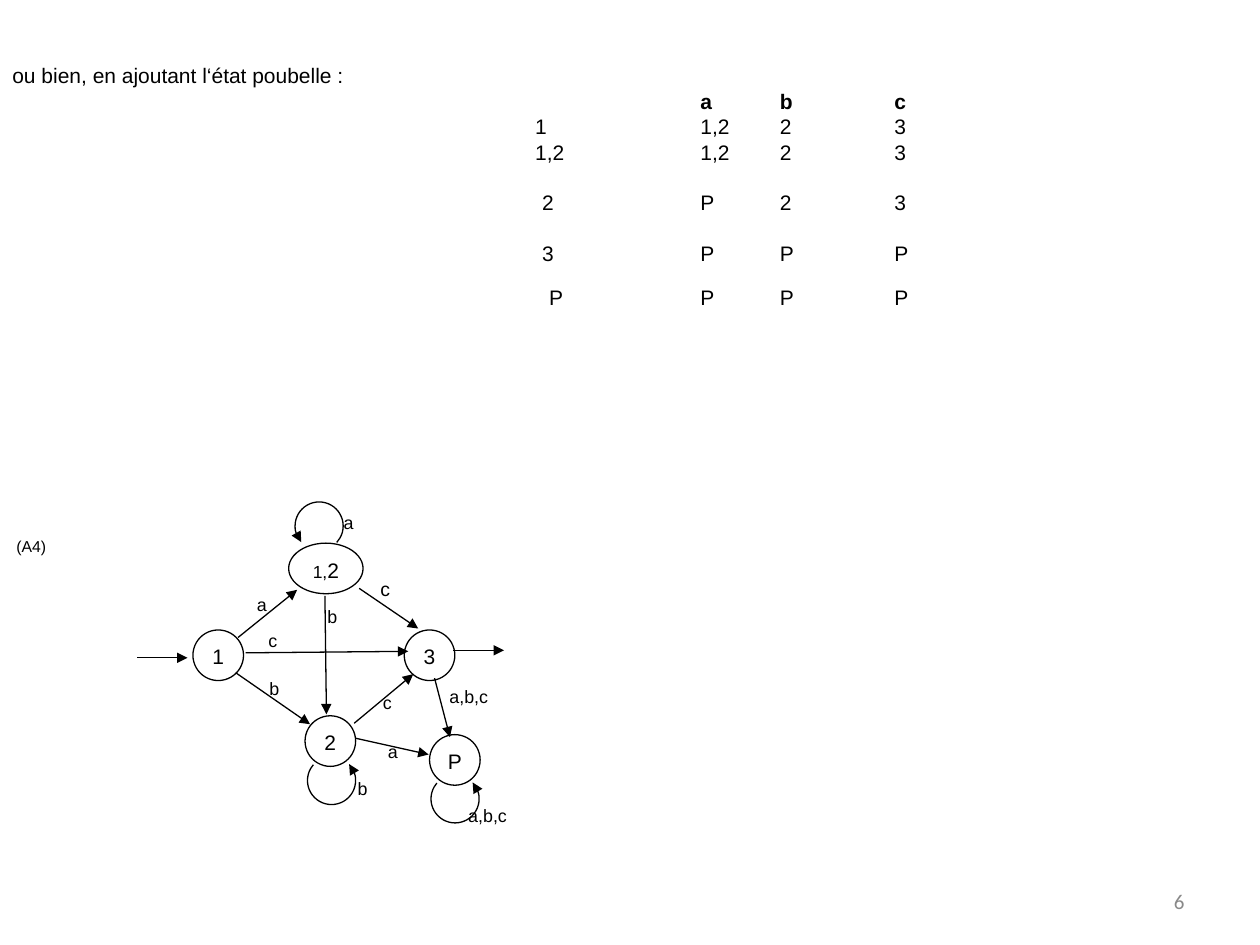
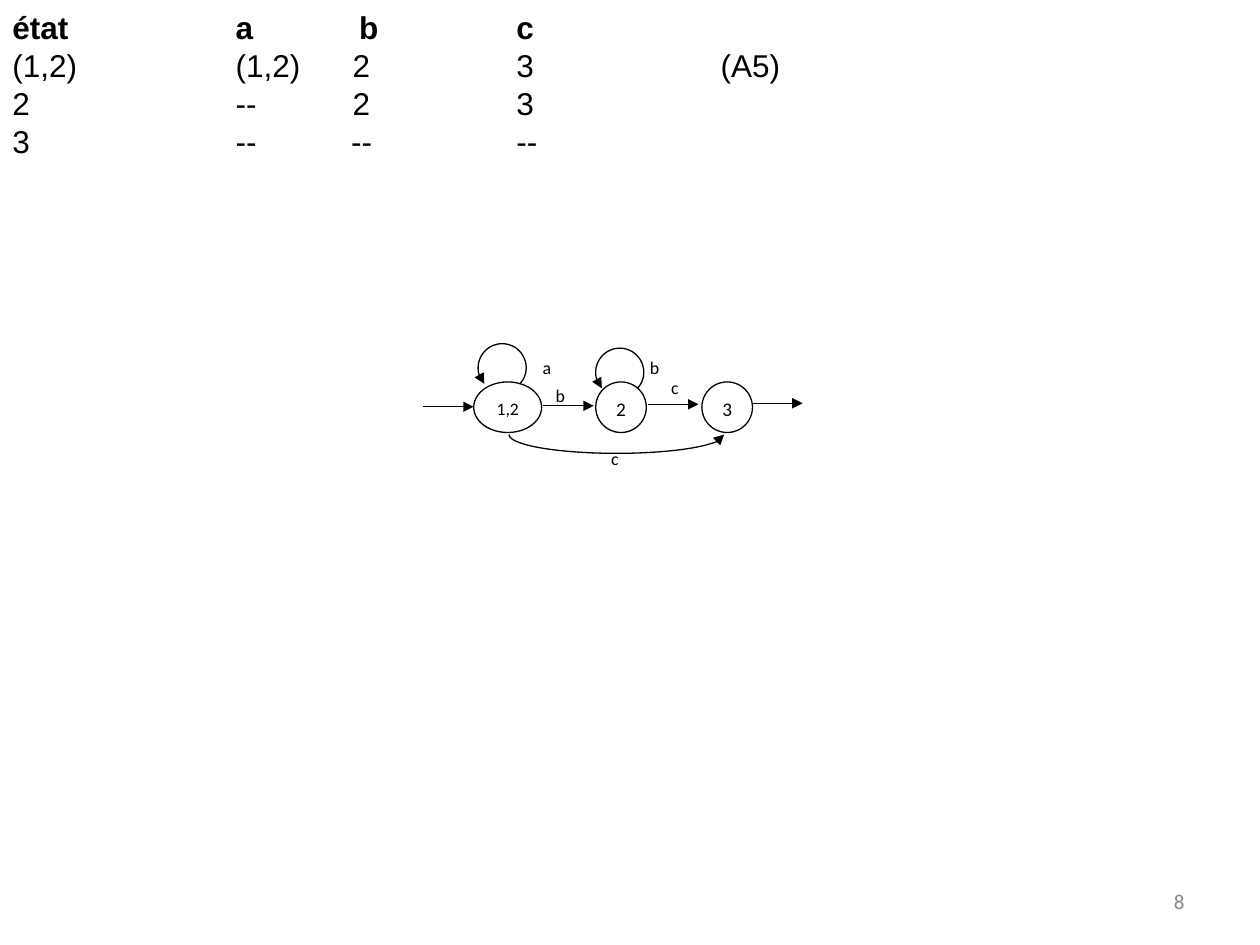
from lxml import etree
from pptx import Presentation
from pptx.dml.color import RGBColor
from pptx.enum.shapes import MSO_CONNECTOR, MSO_SHAPE
from pptx.enum.text import MSO_ANCHOR, PP_ALIGN
from pptx.oxml.ns import qn
from pptx.util import Cm, Pt

BLACK = RGBColor(0x00, 0x00, 0x00)
WHITE = RGBColor(0xFF, 0xFF, 0xFF)
GREY = RGBColor(0x89, 0x89, 0x89)

STATE_SIZE = 1.02
LOOP_SIZE = 0.97
LOOP_ABOVE = (138, 43)
LOOP_BELOW = (317, 221)
LOWER_HALF = (0, 180)


class AutomatonSlide:
    """One slide with its state diagram; all lengths are in centimetres."""

    def __init__(self, presentation, number, font):
        self.slide = presentation.slides.add_slide(presentation.slide_layouts[6])
        self.font = font
        self.add_page_number(number)

    def add_run(self, paragraph, text, size, font=None, color=BLACK, bold=False):
        run = paragraph.add_run()
        run.text = text
        run.font.size = Pt(size)
        run.font.name = font or self.font
        run.font.color.rgb = color
        run.font.bold = bold

    def add_box(self, left, top, width, height, wrap=True):
        box = self.slide.shapes.add_textbox(Cm(left), Cm(top), Cm(width), Cm(height))
        box.text_frame.word_wrap = wrap
        return box.text_frame

    def add_page_number(self, number):
        frame = self.add_box(18.21, 17.65, 5.92, 1.02)
        frame.vertical_anchor = MSO_ANCHOR.MIDDLE
        frame.paragraphs[0].alignment = PP_ALIGN.RIGHT
        self.add_run(frame.paragraphs[0], str(number), 12, "Calibri", GREY)

    def add_tabbed_text(self, top, height, pitch, lines):
        """Each line is (size, bold, space before, [(tab position, text), ...])."""
        frame = self.add_box(0, top, 25.4, height)
        for index, (size, bold, space, cells) in enumerate(lines):
            paragraph = frame.add_paragraph() if index else frame.paragraphs[0]
            paragraph.line_spacing = Pt(pitch)
            if space:
                paragraph.space_before = Pt(space)
            stops = etree.SubElement(paragraph._p.get_or_add_pPr(), qn("a:tabLst"))
            for position, text in cells:
                if position:
                    etree.SubElement(stops, qn("a:tab"), pos=str(Cm(position)), algn="l")
                self.add_run(paragraph, "\t" + text if position else text, size, "Arial", bold=bold)

    def add_outline(self, line, arrow_end=None):
        line.color.rgb = BLACK
        line.width = Pt(0.75)
        if arrow_end:
            etree.SubElement(line._get_or_add_ln(), qn(f"a:{arrow_end}"), type="triangle")

    def add_state(self, left, top, runs, width=STATE_SIZE):
        state = self.slide.shapes.add_shape(
            MSO_SHAPE.OVAL, Cm(left), Cm(top), Cm(width), Cm(STATE_SIZE))
        state.shadow.inherit = False
        state.fill.solid()
        state.fill.fore_color.rgb = WHITE
        self.add_outline(state.line)
        frame = state.text_frame
        frame.word_wrap = False
        frame.vertical_anchor = MSO_ANCHOR.MIDDLE
        frame.margin_left = frame.margin_right = frame.margin_bottom = 0
        frame.margin_top = Cm(0.05)
        frame.paragraphs[0].alignment = PP_ALIGN.CENTER
        for text, size in runs:
            self.add_run(frame.paragraphs[0], text, size)

    def add_transition(self, x1, y1, x2, y2):
        arrow = self.slide.shapes.add_connector(
            MSO_CONNECTOR.STRAIGHT, Cm(x1), Cm(y1), Cm(x2), Cm(y2))
        self.add_outline(arrow.line, "tailEnd")
        etree.SubElement(arrow._element.spPr, qn("a:effectLst"))

    def add_curve(self, left, top, angles, width=LOOP_SIZE, height=LOOP_SIZE):
        """Draw a clockwise arc between two angles, with the arrowhead at its start."""
        arc = self.slide.shapes.add_shape(
            MSO_SHAPE.ARC, Cm(left), Cm(top), Cm(width), Cm(height))
        for index, degrees in enumerate(angles):
            arc.adjustments[index] = degrees * 0.6
        arc.fill.background()
        self.add_outline(arc.line, "headEnd")
        arc.shadow.inherit = False

    def add_letter(self, left, top, text, width=0.71, size=10.2):
        paragraph = self.add_box(left, top, width, 0.71, wrap=False).paragraphs[0]
        paragraph.line_spacing = 0.9
        self.add_run(paragraph, text, size)


def build_complete_automaton(presentation):
    page = AutomatonSlide(presentation, 6, "Arial")

    columns = (13.87, 15.47, 17.78)
    rows = [
        (0, 10.54, "1", ("1,2", "2", "3")),
        (0, 10.54, "1,2", ("1,2", "2", "3")),
        (14.5, 10.68, "2", ("P", "2", "3")),
        (14.5, 10.68, "3", ("P", "P", "P")),
        (10.6, 10.82, "P", ("P", "P", "P")),
    ]
    page.add_tabbed_text(1.14, 10.2, 14.5, [
        (12, False, 0, [(0, "ou bien, en ajoutant l‘état poubelle :")]),
        (12, True, 0, zip(columns, "abc")),
        *((12, False, space, [(indent, state), *zip(columns, targets)])
          for space, indent, state, targets in rows),
        (9, False, 126, [(0.08, "(A4)")]),
    ])

    for left, top, name in [(3.89, 12.7, "1"), (6.15, 14.43, "2"),
                            (8.15, 12.7, "3"), (8.66, 14.81, "P")]:
        page.add_state(left, top, [(name, 12)])
    page.add_state(5.82, 10.95, [("1,", 10), ("2", 12)], width=1.5)

    for ends in [
        (2.77, 13.26, 3.78, 13.26),
        (4.8, 12.85, 5.99, 11.89),
        (7.24, 11.86, 8.43, 12.67),
        (7.14, 14.58, 8.33, 13.59),
        (4.75, 13.56, 6.25, 14.6),
        (4.95, 13.16, 8.23, 13.13),
        (6.55, 12.01, 6.58, 14.4),
        (9.14, 13.11, 10.16, 13.11),
        (7.16, 14.88, 8.64, 15.21),
        (8.76, 13.67, 9.07, 14.86),
    ]:
        page.add_transition(*ends)

    page.add_curve(5.95, 10.12, LOOP_ABOVE)
    page.add_curve(6.2, 15.25, LOOP_BELOW)
    page.add_curve(8.69, 15.62, LOOP_BELOW)

    for letter in [
        (4.93, 11.89, "a"), (6.68, 10.24, "a"), (7.57, 14.86, "a"),
        (5.18, 13.59, "b"), (6.35, 12.14, "b"), (6.96, 15.6, "b"),
        (7.47, 13.87, "c"), (5.16, 12.62, "c"), (7.42, 11.56, "c", 0.71, 11.1),
        (9.19, 16.15, "a,b,c", 1.83), (8.81, 13.74, "a,b,c", 1.6),
    ]:
        page.add_letter(*letter)


def build_reduced_automaton(presentation):
    page = AutomatonSlide(presentation, 8, "Calibri")

    page.add_tabbed_text(0.03, 4.06, 21.7, [
        (18, True, 0, [(0, "état"), (4.5, "a"), (6.99, "b"), (10.16, "c")]),
        (18, False, 0, [(0, "(1,2)"), (4.5, "(1,2)"), (6.86, "2"), (10.16, "3"), (14.28, "(A5)")]),
        (18, False, 0, [(0, "2"), (4.5, "--"), (6.86, "2"), (10.16, "3")]),
        (18, False, 0, [(0, "3"), (4.5, "--"), (6.83, "--"), (10.16, "--")]),
    ])

    page.add_state(9.55, 7.7, [("1,2", 10)], width=1.37)
    page.add_state(12.01, 7.7, [("2", 11)])
    page.add_state(14.15, 7.7, [("3", 11)])

    for start, y in [(8.53, 8.2), (10.95, 8.18), (13.06, 8.15), (15.16, 8.13)]:
        page.add_transition(start, y, start + 1.02, y)

    page.add_curve(9.64, 6.93, LOOP_ABOVE)
    page.add_curve(12.01, 7.02, LOOP_ABOVE)
    page.add_curve(10.26, 8.38, LOWER_HALF, width=4.34, height=0.76)

    for letter in [(10.69, 7.11, "a"), (12.85, 7.11, "b"), (13.28, 7.52, "c"),
                   (10.95, 7.67, "b"), (12.07, 8.94, "c")]:
        page.add_letter(*letter)


def main():
    presentation = Presentation()
    presentation.slide_width = Cm(25.4)
    presentation.slide_height = Cm(19.05)
    build_complete_automaton(presentation)
    build_reduced_automaton(presentation)
    presentation.save("out.pptx")


if __name__ == "__main__":
    main()
